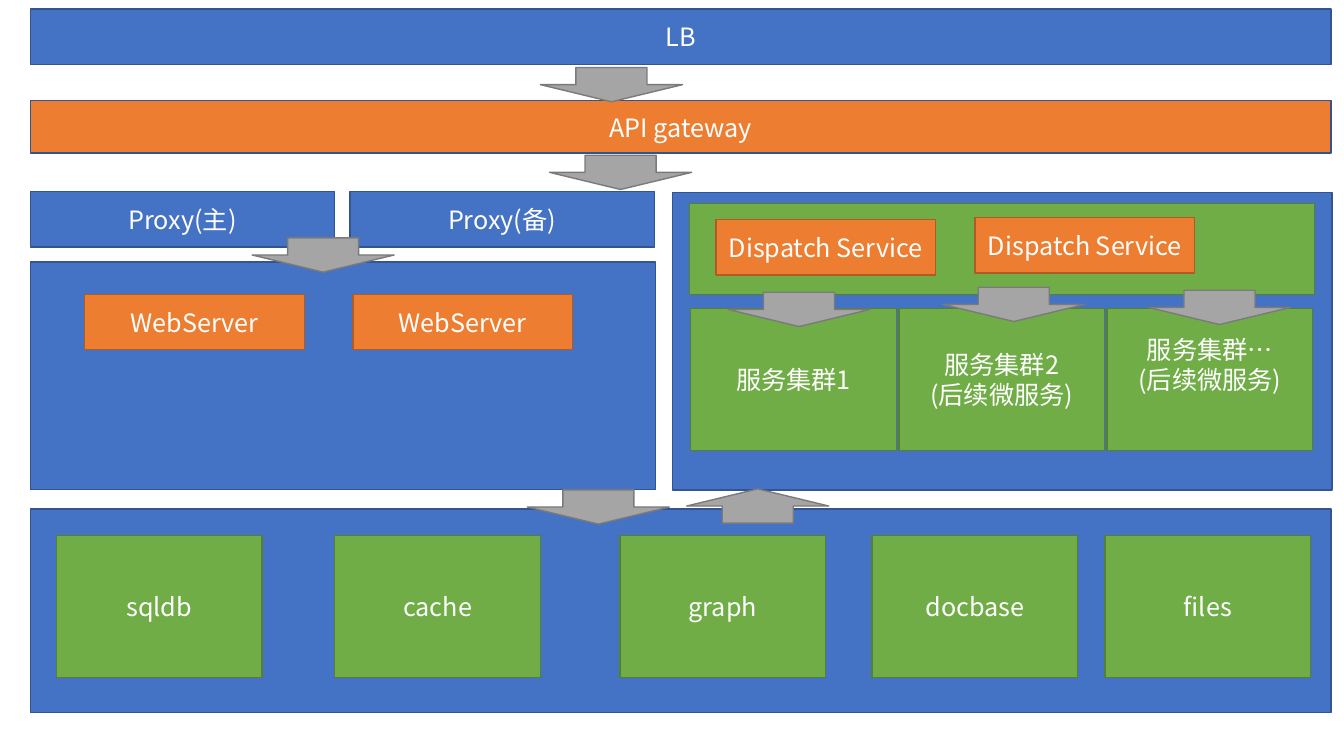
from dataclasses import dataclass
from typing import NamedTuple

from lxml import etree
from pptx import Presentation
from pptx.dml.color import RGBColor
from pptx.enum.shapes import MSO_SHAPE
from pptx.enum.text import MSO_ANCHOR, PP_ALIGN
from pptx.oxml.ns import qn
from pptx.util import Inches, Pt

RECTANGLE = MSO_SHAPE.RECTANGLE
DOWN_ARROW = MSO_SHAPE.DOWN_ARROW
MIDDLE = MSO_ANCHOR.MIDDLE
CENTER = PP_ALIGN.CENTER
BLANK_LAYOUT = 6


class Paint(NamedTuple):
    fill: str
    line: str


@dataclass(frozen=True)
class Theme:
    blue: Paint = Paint("4472C4", "325491")
    orange: Paint = Paint("ED7D31", "AF5C24")
    gateway: Paint = Paint("ED7D31", "325491")
    green: Paint = Paint("70AD47", "538035")
    gray: Paint = Paint("A5A5A5", "7A7A7A")
    text: str = "FFFFFF"
    font: str = "Noto Sans CJK SC"
    size: float = 18
    line_width: float = 1


class Grid(NamedTuple):
    width: int
    height: int
    columns: float = 133.3
    rows: float = 75

    def x(self, columns: float) -> int:
        return round(self.width * columns / self.columns)

    def y(self, rows: float) -> int:
        return round(self.height * rows / self.rows)


class Size(NamedTuple):
    columns: float
    rows: float


@dataclass(frozen=True)
class Box:
    column: float
    row: float
    size: Size
    paint: Paint
    text: str = ""
    raised: float = 0


class Arrow(NamedTuple):
    column: float
    row: float
    rotation: float = 0


THEME = Theme()
GRID = Grid(Inches(13.33), Inches(7.5))
LEFT = 3
BAND = Size(129, 5.5)
PROXY = Size(30.2, 5.5)
SERVICE = Size(21.8, 5.5)
CELL = Size(20.4, 14.1)
ARROW = Size(14.1, 3.4)
TEXT_LINE = 3

WEB_BOXES = [
    Box(LEFT, 26, Size(62, 22.6), THEME.blue),
    Box(LEFT, 0.9, BAND, THEME.blue, "LB"),
    *[Box(LEFT + 31.7 * index, 19, PROXY, THEME.blue, f"Proxy({role})")
      for index, role in enumerate("主备")],
    *[Box(8.4 + 26.6 * index, 29.2, SERVICE, THEME.orange, "WebServer")
      for index in range(2)],
]
SERVICE_BOXES = [
    Box(66.7, 19.1, Size(65.4, 29.5), THEME.blue),
    Box(LEFT, 10, Size(BAND.columns, 5.2), THEME.gateway, "API gateway"),
    Box(68.4, 20.2, Size(62, 9), THEME.green),
    *[Box(column, row, SERVICE, THEME.orange, "Dispatch Service")
      for column, row in ((71, 21.8), (96.7, 21.6))],
    *[Box(68.5 + 20.65 * index, 30.6, CELL, THEME.green, text, raised)
      for index, (text, raised) in enumerate((
          ("服务集群1", 0),
          ("服务集群2\n(后续微服务)", 0),
          ("服务集群…\n(后续微服务)", TEXT_LINE)))],
]
STORE_BOXES = [
    Box(LEFT, 50.5, Size(BAND.columns, 20.2), THEME.blue),
    *[Box(column, 53.1, CELL, THEME.green, text)
      for column, text in ((5.6, "sqldb"), (33.2, "cache"), (61.5, "graph"),
                           (86.5, "docbase"), (109.6, "files"))],
]
ARROWS = [
    Arrow(53.6, 6.7), Arrow(54.5, 15.4), Arrow(25, 23.6),
    Arrow(72.2, 29), Arrow(93.5, 28.5), Arrow(113.9, 28.8),
    Arrow(52.3, 48.6), Arrow(68.1, 48.5, 180),
]


def add_painted(page, kind, column: float, row: float, size: Size, paint: Paint):
    shape = page.shapes.add_shape(
        kind, GRID.x(column), GRID.y(row), GRID.x(size.columns), GRID.y(size.rows))
    shape.shadow.inherit = False
    shape.fill.solid()
    shape.fill.fore_color.rgb = RGBColor.from_string(paint.fill)
    shape.line.color.rgb = RGBColor.from_string(paint.line)
    shape.line.width = Pt(THEME.line_width)
    return shape


def write_text(shape, text: str, raised: float) -> None:
    frame = shape.text_frame
    frame.text = text
    frame.word_wrap = True
    frame.vertical_anchor = MIDDLE
    frame.margin_bottom += GRID.y(raised)
    for para in frame.paragraphs:
        para.alignment = CENTER
        for span in para.runs:
            span.font.size = Pt(THEME.size)
            span.font.name = THEME.font
            span.font.color.rgb = RGBColor.from_string(THEME.text)
            east_asian = etree.SubElement(span.font._element, qn("a:ea"))
            east_asian.set("typeface", THEME.font)


def draw_box(page, box: Box) -> None:
    shape = add_painted(page, RECTANGLE, box.column, box.row, box.size, box.paint)
    if box.text:
        write_text(shape, box.text, box.raised)


def draw_arrow(page, arrow: Arrow) -> None:
    shape = add_painted(page, DOWN_ARROW, arrow.column, arrow.row, ARROW, THEME.gray)
    shape.rotation = arrow.rotation


deck = Presentation()
deck.slide_width, deck.slide_height = GRID.width, GRID.height
page = deck.slides.add_slide(deck.slide_layouts[BLANK_LAYOUT])
for box in WEB_BOXES + SERVICE_BOXES + STORE_BOXES:
    draw_box(page, box)
for arrow in ARROWS:
    draw_arrow(page, arrow)
deck.save("out.pptx")
